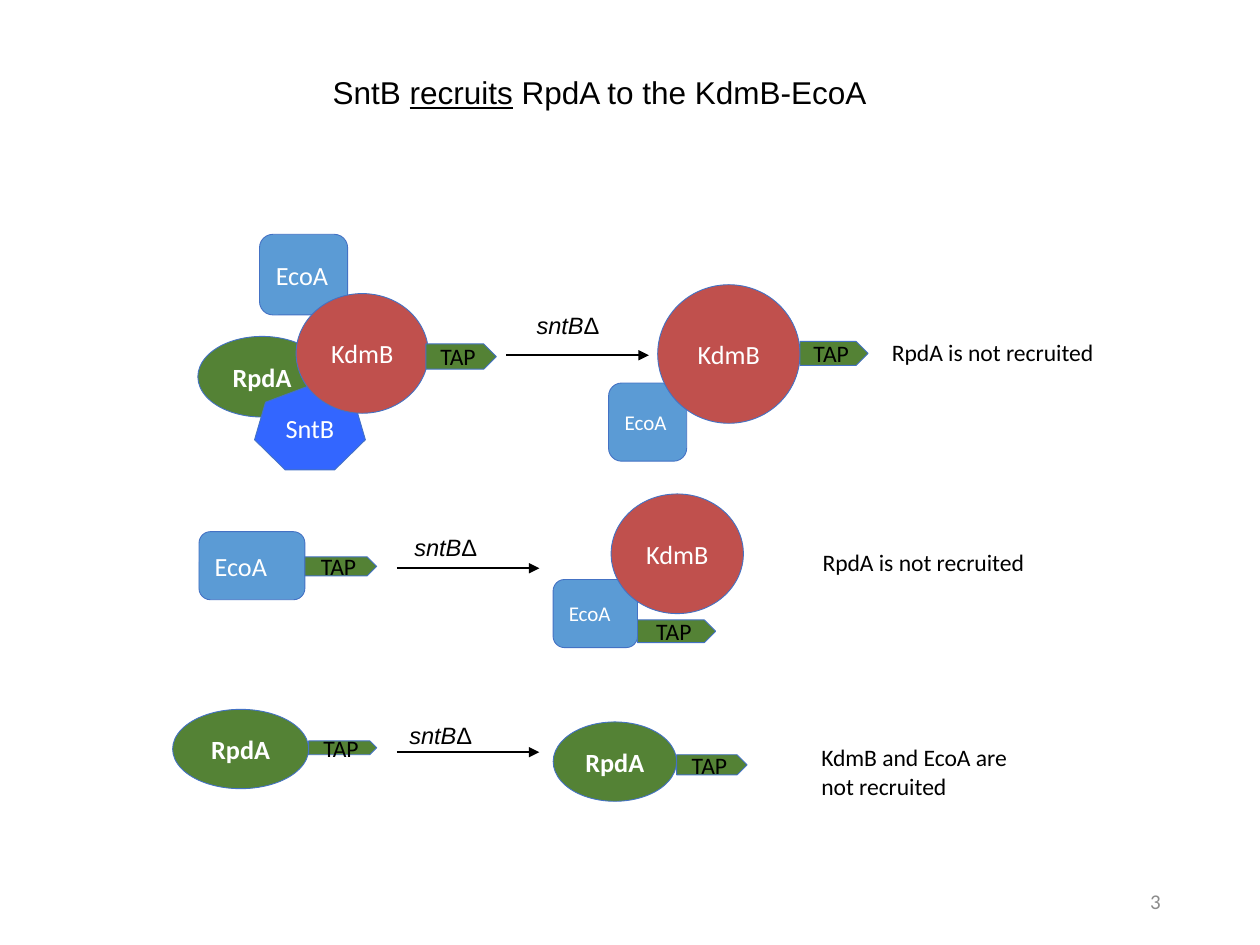
from dataclasses import dataclass

from lxml import etree
from pptx import Presentation
from pptx.dml.color import RGBColor
from pptx.enum.shapes import MSO_CONNECTOR, MSO_SHAPE
from pptx.enum.text import MSO_ANCHOR, MSO_AUTO_SIZE, PP_ALIGN
from pptx.oxml.ns import qn
from pptx.util import Inches, Pt

# Colours
BLACK = RGBColor(0x00, 0x00, 0x00)
WHITE = RGBColor(0xFF, 0xFF, 0xFF)
GREY = RGBColor(0x8C, 0x8C, 0x8C)
GREEN = RGBColor(0x54, 0x82, 0x35)
RED = RGBColor(0xC0, 0x50, 0x4D)
LIGHT_BLUE = RGBColor(0x5B, 0x9B, 0xD5)
BRIGHT_BLUE = RGBColor(0x33, 0x66, 0xFF)
OUTLINE = RGBColor(0x44, 0x72, 0xC4)

# Enum members
ELLIPSE = MSO_SHAPE.OVAL
HEPTAGON = MSO_SHAPE.HEPTAGON
ROUNDED = MSO_SHAPE.ROUNDED_RECTANGLE
PENTAGON = MSO_SHAPE.PENTAGON
STRAIGHT = MSO_CONNECTOR.STRAIGHT
LEFT, CENTER, RIGHT = PP_ALIGN.LEFT, PP_ALIGN.CENTER, PP_ALIGN.RIGHT
MIDDLE, TOP = MSO_ANCHOR.MIDDLE, MSO_ANCHOR.TOP
NO_AUTOFIT = MSO_AUTO_SIZE.NONE

ARROW_LENGTH = 1.13


@dataclass(frozen=True)
class Style:
    preset: int
    fill: RGBColor
    color: RGBColor = WHITE
    size: float = 15
    bold: bool = False
    align: int = CENTER


@dataclass(frozen=True)
class Part:
    name: str
    left: float
    top: float
    width: float
    height: float
    size: float | None = None


@dataclass(frozen=True)
class Row:
    before: tuple[Part, ...]
    after: tuple[Part, ...]
    arrow: tuple[float, float]
    mutant: tuple[float, float]
    note: tuple[float, float, float, float]
    note_lines: tuple[str, ...]


STYLES = {
    "RpdA": Style(ELLIPSE, GREEN, bold=True),
    "SntB": Style(HEPTAGON, BRIGHT_BLUE),
    "EcoA": Style(ROUNDED, LIGHT_BLUE, align=LEFT),
    "KdmB": Style(ELLIPSE, RED),
    "TAP": Style(PENTAGON, GREEN, BLACK, 13.5),
}

# One row per tagged protein; parts run from back to front
ROWS = (
    Row(
        before=(
            Part("RpdA", 1.57, 2.67, 1.02, 0.64),
            Part("SntB", 2.02, 3.06, 0.88, 0.67),
            Part("EcoA", 2.06, 1.86, 0.7, 0.64),
            Part("KdmB", 2.35, 2.33, 1.05, 0.95),
            Part("TAP", 3.38, 2.73, 0.56, 0.2),
        ),
        after=(
            Part("EcoA", 4.83, 3.04, 0.62, 0.62, 12),
            Part("KdmB", 5.22, 2.26, 1.13, 1.1),
            Part("TAP", 6.35, 2.71, 0.54, 0.19),
        ),
        arrow=(4.02, 2.82),
        mutant=(4.16, 2.42),
        note=(6.98, 2.63, 1.83, 0.33),
        note_lines=("RpdA is not recruited",),
    ),
    Row(
        before=(
            Part("EcoA", 1.58, 4.22, 0.84, 0.54),
            Part("TAP", 2.42, 4.42, 0.57, 0.15),
        ),
        after=(
            Part("EcoA", 4.39, 4.6, 0.67, 0.54, 12),
            Part("KdmB", 4.85, 3.92, 1.05, 0.95),
            Part("TAP", 5.06, 4.92, 0.62, 0.18),
        ),
        arrow=(3.15, 4.51),
        mutant=(3.19, 4.18),
        note=(6.43, 4.3, 1.83, 0.33),
        note_lines=("RpdA is not recruited",),
    ),
    Row(
        before=(
            Part("RpdA", 1.37, 5.63, 1.08, 0.63),
            Part("TAP", 2.45, 5.88, 0.54, 0.11),
        ),
        after=(
            Part("RpdA", 4.39, 5.73, 0.98, 0.63),
            Part("TAP", 5.37, 5.99, 0.56, 0.16),
        ),
        arrow=(3.15, 5.97),
        mutant=(3.15, 5.67),
        note=(6.42, 5.85, 1.7, 0.56),
        note_lines=("KdmB and EcoA are", "not recruited"),
    ),
)


def add_run(paragraph, text: str, color: RGBColor = BLACK, **formats) -> None:
    run = paragraph.add_run()
    run.text = text
    run.font.color.rgb = color
    for attribute, value in formats.items():
        setattr(run.font, attribute, value)


def add_text_box(slide, left: float, top: float, width: float, height: float, anchor=TOP):
    box = slide.shapes.add_textbox(Inches(left), Inches(top), Inches(width), Inches(height))
    frame = box.text_frame
    frame.word_wrap = True
    frame.vertical_anchor = anchor
    return frame


def add_part(slide, part: Part) -> None:
    style = STYLES[part.name]
    shape = slide.shapes.add_shape(
        style.preset, Inches(part.left), Inches(part.top), Inches(part.width), Inches(part.height)
    )
    shape.shadow.inherit = False
    shape.fill.solid()
    shape.fill.fore_color.rgb = style.fill
    shape.line.color.rgb = OUTLINE
    shape.line.width = Pt(0.5)
    frame = shape.text_frame
    frame.word_wrap = True
    frame.vertical_anchor = MIDDLE
    paragraph = frame.paragraphs[0]
    paragraph.alignment = style.align
    add_run(paragraph, part.name, style.color, name="Calibri",
            size=Pt(part.size or style.size), bold=style.bold)


def add_arrow(slide, left: float, top: float) -> None:
    arrow = slide.shapes.add_connector(
        STRAIGHT, Inches(left), Inches(top), Inches(left + ARROW_LENGTH), Inches(top)
    )
    arrow.line.color.rgb = BLACK
    arrow.line.width = Pt(1)
    etree.SubElement(arrow.line._get_or_add_ln(), qn("a:tailEnd"), type="triangle")
    etree.SubElement(arrow._element.spPr, qn("a:effectLst"))


def add_row(slide, row: Row) -> None:
    for part in row.before + row.after:
        add_part(slide, part)
    add_arrow(slide, *row.arrow)

    mutant = add_text_box(slide, *row.mutant, 0.75, 0.33).paragraphs[0]
    for text, italic in (("sntB", True), ("Δ", False)):
        add_run(mutant, text, name="Arial", size=Pt(13.5), italic=italic)

    frame = add_text_box(slide, *row.note)
    for index, line in enumerate(row.note_lines):
        paragraph = frame.add_paragraph() if index else frame.paragraphs[0]
        add_run(paragraph, line, name="Calibri", size=Pt(13.5))


def add_title(slide) -> None:
    title = slide.shapes.title
    bounds = {"left": 2.54, "top": 0.28, "width": 4.51, "height": 0.94}
    for attribute, value in bounds.items():
        setattr(title, attribute, Inches(value))
    frame = title.text_frame
    frame.auto_size = NO_AUTOFIT
    frame.vertical_anchor = MIDDLE
    paragraph = frame.paragraphs[0]
    paragraph.alignment = LEFT
    paragraph.line_spacing = 0.9
    for text, underline in (("SntB ", False), ("recruits", True), (" RpdA to the KdmB-EcoA", False)):
        add_run(paragraph, text, name="Arial", size=Pt(18), underline=underline)


def main() -> None:
    presentation = Presentation()
    presentation.slide_width, presentation.slide_height = Inches(10), Inches(7.5)
    slide = presentation.slides.add_slide(presentation.slide_layouts[5])

    add_title(slide)
    for row in ROWS:
        add_row(slide, row)

    # Slide number
    number = add_text_box(slide, 7.06, 6.95, 2.25, 0.4, MIDDLE).paragraphs[0]
    number.alignment = RIGHT
    add_run(number, "3", GREY, name="Calibri", size=Pt(12))

    presentation.save("out.pptx")


if __name__ == "__main__":
    main()
